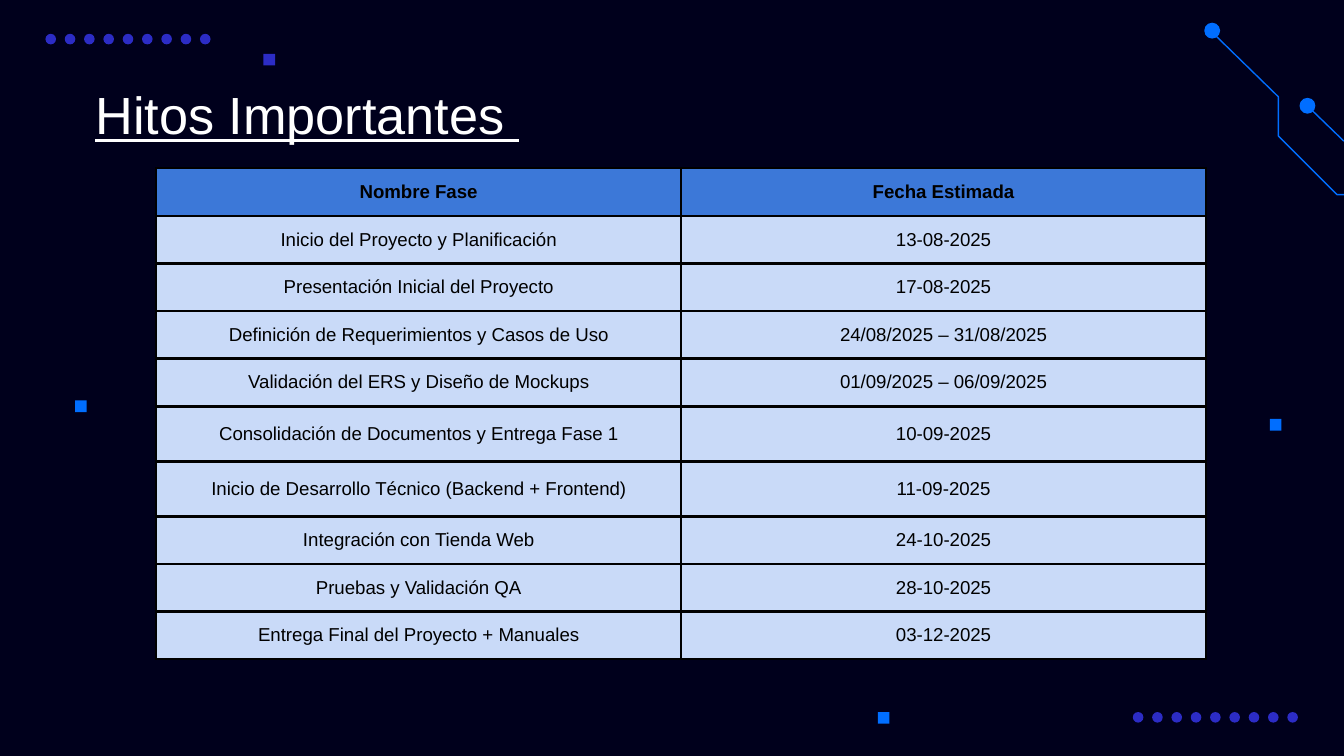
from lxml.etree import SubElement
from pptx import Presentation
from pptx.dml.color import RGBColor
from pptx.enum.shapes import MSO_SHAPE
from pptx.enum.text import MSO_ANCHOR, MSO_AUTO_SIZE, PP_ALIGN
from pptx.oxml.ns import qn
from pptx.util import Cm, Pt

COLORS = {
    "background": "00001C",
    "violet": "2C2CC5",
    "blue": "006EFF",
    "header": "3C78D8",
    "body": "C9DAF8",
    "black": "000000",
    "white": "FFFFFF",
}
FONT = "Arial"

MILESTONES = [
    ("Nombre Fase", "Fecha Estimada"),
    ("Inicio del Proyecto y Planificación", "13-08-2025"),
    ("Presentación Inicial del Proyecto", "17-08-2025"),
    ("Definición de Requerimientos y Casos de Uso", "24/08/2025 – 31/08/2025"),
    ("Validación del ERS y Diseño de Mockups", "01/09/2025 – 06/09/2025"),
    ("Consolidación de Documentos y Entrega Fase 1", "10-09-2025"),
    ("Inicio de Desarrollo Técnico (Backend + Frontend)", "11-09-2025"),
    ("Integración con Tienda Web", "24-10-2025"),
    ("Pruebas y Validación QA", "28-10-2025"),
    ("Entrega Final del Proyecto + Manuales", "03-12-2025"),
]
TALL_ROWS = (5, 6)

# Decoration, in centimetres
DOT_ROWS = [(0.86, 0.64), (21.41, 13.46)]
DOT_COUNT, DOT_STEP, DOT_SIZE = 9, 0.365, 0.2
SQUARES = [
    (1.42, 7.57, "blue"),
    (4.98, 1.02, "violet"),
    (24, 7.92, "blue"),
    (16.59, 13.46, "blue"),
]
CIRCUIT_TRACES = [
    [(24.79, 2.08), (25.4, 2.67)],
    [(22.96, 0.66), (24.16, 1.83), (24.16, 2.57), (25.27, 3.68), (25.4, 3.68)],
]
CIRCUIT_NODES = [(24.56, 1.85), (22.76, 0.43)]


def rgb(color):
    return RGBColor.from_string(COLORS[color])


def add_mark(slide, preset, left, top, size, color):
    mark = slide.shapes.add_shape(preset, Cm(left), Cm(top), Cm(size), Cm(size))
    mark.shadow.inherit = False
    mark.fill.solid()
    mark.fill.fore_color.rgb = rgb(color)
    mark.line.fill.background()


def add_trace(slide, points):
    start, *rest = [(Cm(x), Cm(y)) for x, y in points]
    builder = slide.shapes.build_freeform(*start)
    builder.add_line_segments(rest, close=False)
    trace = builder.convert_to_shape()
    trace.shadow.inherit = False
    trace.fill.background()
    trace.line.color.rgb = rgb("blue")
    trace.line.width = Pt(0.75)


def add_decoration(slide):
    for left, top in DOT_ROWS:
        for i in range(DOT_COUNT):
            add_mark(slide, MSO_SHAPE.OVAL, left + i * DOT_STEP, top, DOT_SIZE, "violet")
    for left, top, color in SQUARES:
        add_mark(slide, MSO_SHAPE.RECTANGLE, left, top, 0.22, color)
    for points in CIRCUIT_TRACES:
        add_trace(slide, points)
    for left, top in CIRCUIT_NODES:
        add_mark(slide, MSO_SHAPE.OVAL, left, top, 0.3, "blue")


def format_text(paragraph, size, color, alignment):
    paragraph.alignment = alignment
    paragraph.font.name = FONT
    paragraph.font.size = Pt(size)
    paragraph.font.color.rgb = rgb(color)


def set_title(slide, text):
    title = slide.shapes.title
    title.left, title.top, title.width, title.height = Cm(1.55), Cm(1.37), Cm(10.85), Cm(1.78)
    frame = title.text_frame
    frame.text = text
    frame.word_wrap = True
    frame.auto_size = MSO_AUTO_SIZE.NONE
    frame.vertical_anchor = MSO_ANCHOR.MIDDLE
    paragraph = frame.paragraphs[0]
    format_text(paragraph, 28, "white", PP_ALIGN.LEFT)
    paragraph.font.underline = True
    paragraph.line_spacing = 0.8


def add_borders(cell):
    # Border lines come before the fill in the cell properties
    properties = cell._tc.get_or_add_tcPr()
    for position, side in enumerate(("lnL", "lnR", "lnT", "lnB")):
        border = SubElement(properties, qn(f"a:{side}"), w=str(Pt(1.5)))
        fill = SubElement(border, qn("a:solidFill"))
        SubElement(fill, qn("a:srgbClr"), val=COLORS["black"])
        properties.insert(position, border)


def format_cell(cell, text, is_header):
    cell.text = text
    cell.vertical_anchor = MSO_ANCHOR.MIDDLE
    cell.margin_left = cell.margin_right = Cm(0.25)
    cell.margin_top = cell.margin_bottom = Cm(0.25)
    cell.fill.solid()
    cell.fill.fore_color.rgb = rgb("header" if is_header else "body")
    paragraph = cell.text_frame.paragraphs[0]
    format_text(paragraph, 10, "black", PP_ALIGN.CENTER)
    paragraph.font.bold = is_header
    add_borders(cell)


def add_milestone_table(slide):
    heights = [Cm(1.04 if i in TALL_ROWS else 0.9) for i in range(len(MILESTONES))]
    table = slide.shapes.add_table(
        len(MILESTONES), 2, Cm(2.95), Cm(3.18), Cm(19.84), sum(heights)
    ).table
    table.horz_banding = False
    for i, (texts, height) in enumerate(zip(MILESTONES, heights)):
        table.rows[i].height = height
        for j, text in enumerate(texts):
            format_cell(table.cell(i, j), text, i == 0)


def main():
    presentation = Presentation()
    presentation.slide_width = Cm(25.4)
    presentation.slide_height = Cm(14.29)
    slide = presentation.slides.add_slide(presentation.slide_layouts[5])
    slide.background.fill.solid()
    slide.background.fill.fore_color.rgb = rgb("background")

    add_decoration(slide)
    set_title(slide, "Hitos Importantes ")
    add_milestone_table(slide)
    presentation.save("out.pptx")


if __name__ == "__main__":
    main()
